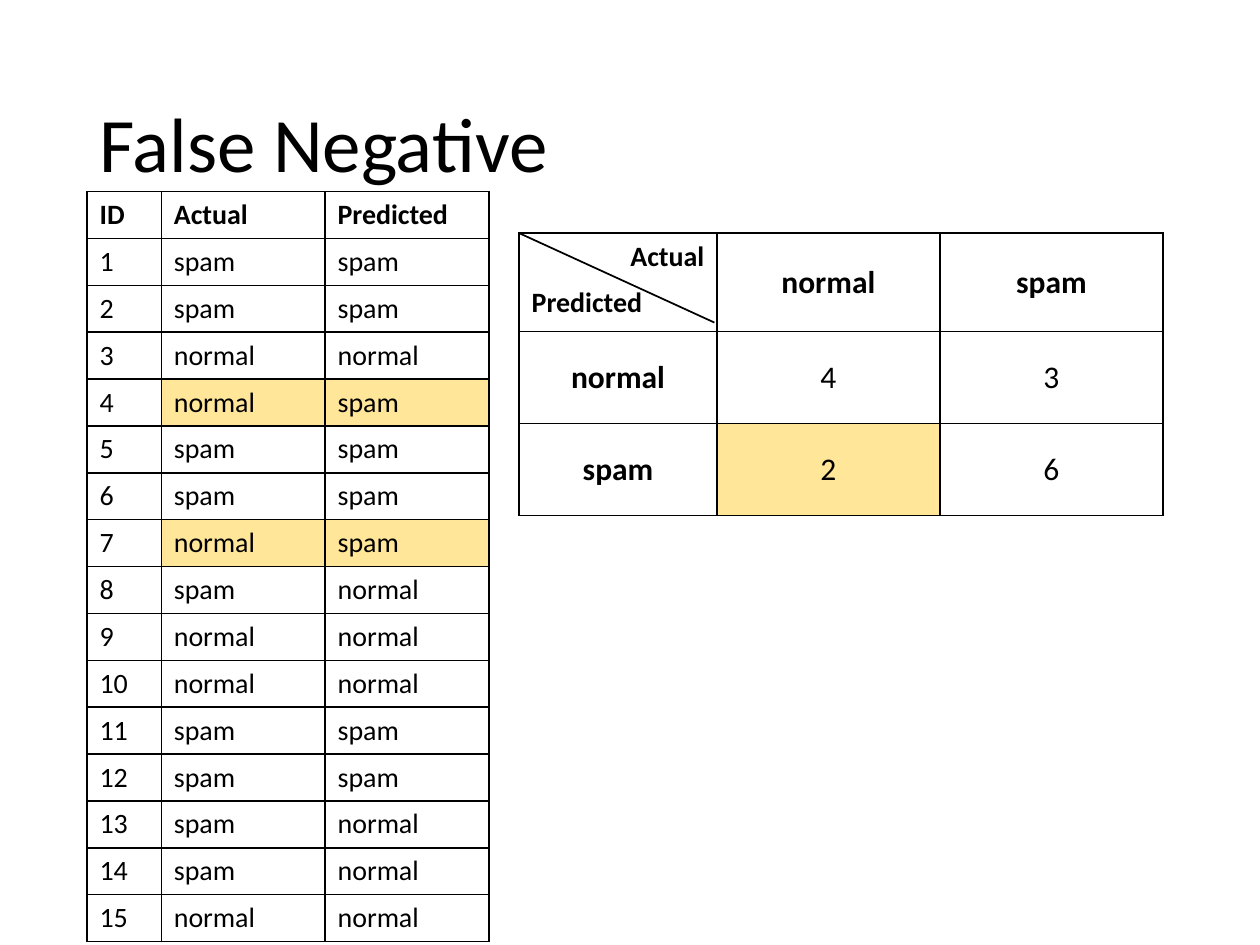
from lxml import etree
from pptx import Presentation
from pptx.dml.color import RGBColor
from pptx.enum import shapes, text
from pptx.oxml import ns
from pptx.util import Inches, Pt

BLACK = RGBColor(0, 0, 0)
WHITE = RGBColor(255, 255, 255)
GOLD = RGBColor(0xFF, 0xE6, 0x99)
LEFT, MID, RIGHT = text.PP_ALIGN.LEFT, text.PP_ALIGN.CENTER, text.PP_ALIGN.RIGHT


def style(frame, size, bold=False, align=LEFT):
    for para in frame.paragraphs:
        para.alignment = align
        for run in para.runs:
            run.font.name = "Calibri"
            run.font.size = Pt(size)
            run.font.bold = bold
            run.font.color.rgb = BLACK


def paint(cell, fill, sides="LRTB"):
    props = cell._tc.get_or_add_tcPr()
    for side in "LRTB":
        edge = etree.SubElement(props, ns.qn(f"a:ln{side}"), w="12700")
        if side in sides:
            solid = etree.SubElement(edge, ns.qn("a:solidFill"))
            etree.SubElement(solid, ns.qn("a:srgbClr"), val=str(BLACK))
        else:
            etree.SubElement(edge, ns.qn("a:noFill"))
    if fill is None:
        cell.fill.background()
    else:
        cell.fill.solid()
        cell.fill.fore_color.rgb = fill


deck = Presentation()
deck.slide_width, deck.slide_height = Inches(10), Inches(7.5)
slide = deck.slides.add_slide(deck.slide_layouts[5])

title = slide.shapes.title
title.left, title.top = Inches(0.69), Inches(0.4)
title.width, title.height = Inches(8.62), Inches(1.45)
title.text_frame.text = "False Negative"
title.text_frame.vertical_anchor = text.MSO_ANCHOR.MIDDLE
style(title.text_frame, 44)

S, N = "spam", "normal"
pairs = [(S, S), (S, S), (N, N), (N, S), (S, S), (S, S), (N, S), (S, N),
         (N, N), (N, N), (S, S), (S, S), (S, N), (S, N), (N, N)]
rows = [("ID", "Actual", "Predicted")]
rows += [(str(i), *pair) for i, pair in enumerate(pairs, 1)]

mails = slide.shapes.add_table(len(rows), 3, Inches(0.69), Inches(1.52),
                               Inches(3.19), Inches(5.95)).table
mails.first_row = mails.horz_banding = False
for col, width in zip(mails.columns, (0.59, 1.3, 1.3)):
    col.width = Inches(width)
for r, row in enumerate(rows):
    mails.rows[r].height = Inches(0.37)
    for c, word in enumerate(row):
        cell = mails.cell(r, c)
        cell.text_frame.text = word
        style(cell.text_frame, 16, bold=r == 0)
        if c and row[1:] == (N, S):
            fill = GOLD
        elif c and 8 <= r <= 14:
            fill = None
        else:
            fill = WHITE
        paint(cell, fill)

grid = [("Actual", N, S), ("Predicted", "", ""), (N, "4", "3"), (S, "2", "6")]
box = slide.shapes.add_table(4, 3, Inches(4.12), Inches(1.85),
                             Inches(5.12), Inches(2.2))
counts = box.table
counts.first_row = counts.horz_banding = False
for col, width in zip(counts.columns, (1.57, 1.77, 1.77)):
    col.width = Inches(width)
for row, height in zip(counts.rows, (0.37, 0.41, 0.73, 0.73)):
    row.height = Inches(height)
for c in (1, 2):
    counts.cell(0, c).merge(counts.cell(1, c))
for r, row in enumerate(grid):
    for c, word in enumerate(row):
        cell = counts.cell(r, c)
        corner = c == 0 and r < 2
        if word:
            cell.text_frame.text = word
        if corner:
            style(cell.text_frame, 16, True, LEFT if r else RIGHT)
            paint(cell, WHITE, "LRB" if r else "LRT")
        else:
            cell.vertical_anchor = text.MSO_ANCHOR.MIDDLE
            style(cell.text_frame, 18, c == 0 or r == 0, MID)
            if c == 0 or r < 2:
                fill = WHITE
            else:
                fill = GOLD if (r, c) == (3, 1) else None
            paint(cell, fill)

slash = slide.shapes.add_connector(shapes.MSO_CONNECTOR.STRAIGHT, Inches(4.12),
                                   Inches(1.85), Inches(5.67), Inches(2.56))
slash.line.color.rgb = BLACK
slash.line.width = Pt(1)
etree.SubElement(slash._element.spPr, ns.qn("a:effectLst"))

deck.save("out.pptx")
